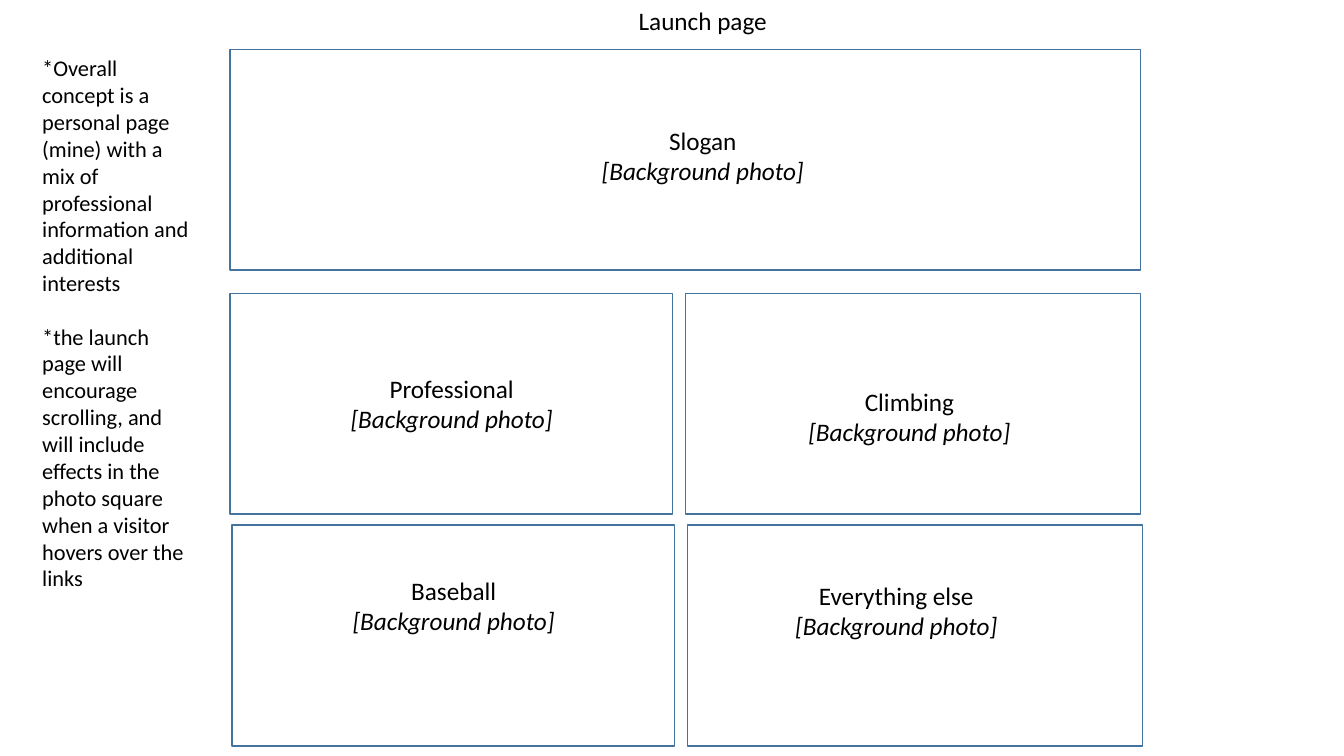
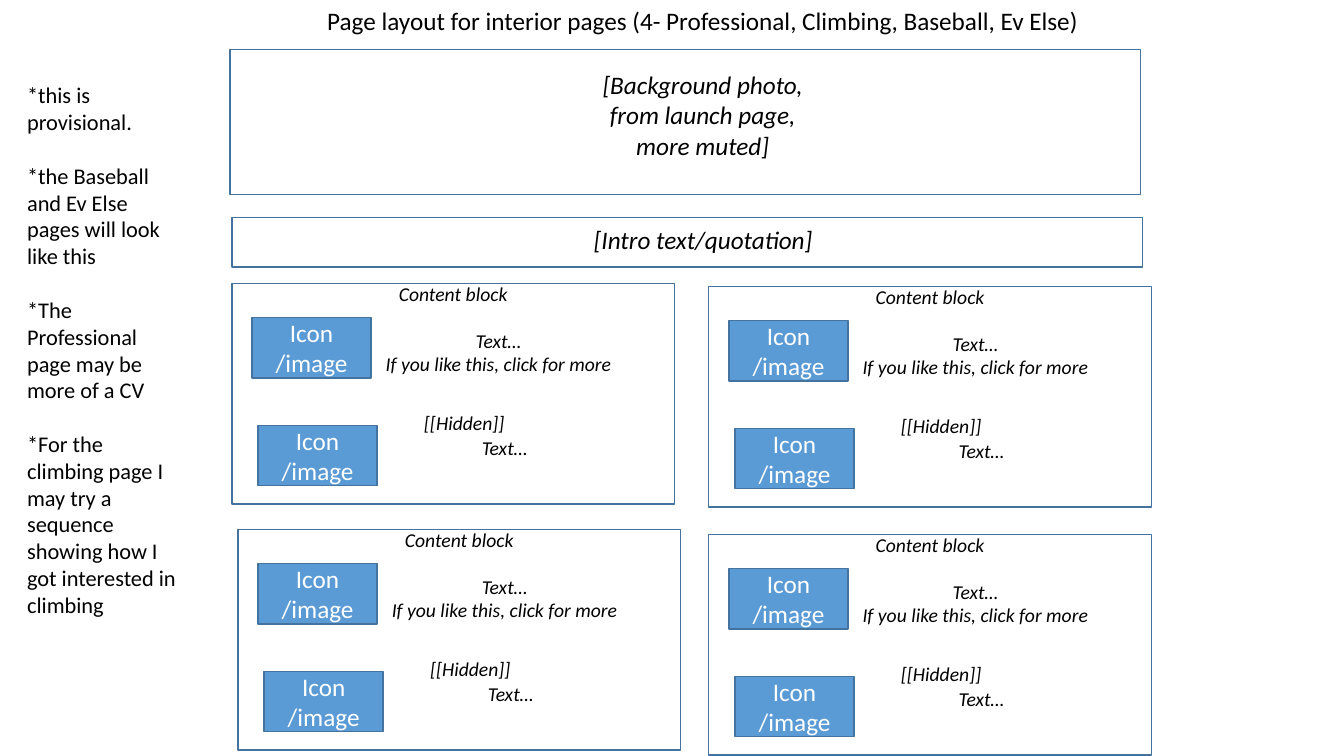
from pptx import Presentation
from pptx import util as u
from pptx.dml.color import RGBColor
from pptx.enum import shapes, text

PX = 9144  # 100 px to the inch
FONT = "Calibri"
INK, PAPER = "000000", "FFFFFF"
OUTLINE, ICON_FILL = "43739E", "5B9BD5"
HEADING, NOTE, SMALL = 18, 16, 14
CENTER, LEFT = text.PP_ALIGN.CENTER, text.PP_ALIGN.LEFT
PHOTO = "[Background photo]"


def px(*lengths):
    return [u.Emu(length * PX) for length in lengths]


def color(hex_value):
    return RGBColor.from_string(hex_value)


def write(frame, words, size, ink=INK, italic=(), align=CENTER, gap=0):
    """Fill a frame; italic holds the indexes of the italic paragraphs."""
    frame.word_wrap = True
    frame.text = words
    for index, paragraph in enumerate(frame.paragraphs):
        paragraph.alignment = align
        if index:
            paragraph.space_before = u.Pt(gap)
        for run in paragraph.runs:
            run.font.name = FONT
            run.font.size = u.Pt(size)
            run.font.italic = index in italic
            run.font.color.rgb = color(ink)


def add_label(slide, box, words, size, **style):
    frame = slide.shapes.add_textbox(*px(*box)).text_frame
    write(frame, words, size, **style)
    frame.auto_size = text.MSO_AUTO_SIZE.SHAPE_TO_FIT_TEXT


def add_frame(slide, box, fill=None):
    frame = slide.shapes.add_shape(shapes.MSO_SHAPE.RECTANGLE, *px(*box))
    frame.shadow.inherit = False
    frame.line.color.rgb = color(OUTLINE)
    frame.line.width = u.Pt(1)
    if fill:
        frame.fill.solid()
        frame.fill.fore_color.rgb = color(fill)
    else:
        frame.fill.background()
    return frame


def add_page(deck, heading, notes_box, notes):
    """Blank slide with the centred heading and the margin notes."""
    slide = deck.slides.add_slide(deck.slide_layouts[6])
    add_label(slide, (282, 0, 830, 40), heading, HEADING)
    add_label(slide, notes_box, "\n".join(notes), NOTE, align=LEFT, gap=19)
    return slide


def add_photo_tile(slide, box, name, dx, dy):
    """Framed photo area, its caption offset from the frame's corner."""
    left, top = box[:2]
    add_frame(slide, box)
    add_label(slide, (left + dx, top + dy, 234, 71), f"{name}\n{PHOTO}",
              HEADING, italic=(1,))


def add_content_block(slide, left, top):
    add_frame(slide, (left, top, 439, 219))
    # Icons
    for dx, dy in ((20, 34), (26, 141)):
        icon = add_frame(slide, (left + dx, top + dy, 118, 60), ICON_FILL)
        icon.text_frame.vertical_anchor = text.MSO_ANCHOR.MIDDLE
        write(icon.text_frame, "Icon /image", HEADING, ink=PAPER)
    # Captions
    captions = (
        (68, -6, 34, "Content block"),
        (113, 40, 57, "Text…\nIf you like this, click for more"),
        (119, 147, 34, "Text…"),
        (79, 122, 34, "[[Hidden]]"),
    )
    for dx, dy, height, words in captions:
        add_label(slide, (left + dx, top + dy, 303, height), words, SMALL,
                  italic=(0, 1))


def build_launch_page(deck):
    slide = add_page(deck, "Launch page", (32, 49, 168, 640), (
        "*Overall concept is a personal page (mine) with a mix of "
        "professional information and additional interests",
        "*the launch page will encourage scrolling, and will include effects "
        "in the photo square when a visitor hovers over the links",
    ))
    tiles = (
        ((228, 49, 903, 219), "Slogan", 352, 70),
        ((228, 291, 439, 219), "Professional", 103, 74),
        ((680, 291, 451, 219), "Climbing", 105, 87),
        ((230, 521, 439, 219), "Baseball", 103, 45),
        ((682, 521, 451, 219), "Everything else", 90, 50),
    )
    for tile in tiles:
        add_photo_tile(slide, *tile)


def build_interior_page(deck):
    slide = add_page(
        deck,
        "Page layout for interior pages "
        "(4- Professional, Climbing, Baseball, Ev Else)",
        (17, 76, 168, 670),
        (
            "*this is provisional.",
            "*the Baseball and Ev Else pages will look like this",
            "*The Professional page may be more of a CV",
            "*For the climbing page I may try a sequence showing how I got "
            "interested in climbing",
        ))
    # Banner and intro
    add_frame(slide, (228, 49, 903, 144))
    add_label(slide, (580, 64, 234, 101),
              "[Background photo, from launch page, more muted]",
              HEADING, italic=(0,))
    add_frame(slide, (230, 216, 903, 49))
    add_label(slide, (546, 218, 303, 40), "[Intro text/quotation]",
              HEADING, italic=(0,))
    # Content blocks
    for left, top in ((230, 281), (703, 284), (236, 525), (703, 530)):
        add_content_block(slide, left, top)


def main():
    deck = Presentation()
    deck.slide_width, deck.slide_height = px(1333, 750)
    build_launch_page(deck)
    build_interior_page(deck)
    deck.save("out.pptx")


if __name__ == "__main__":
    main()
